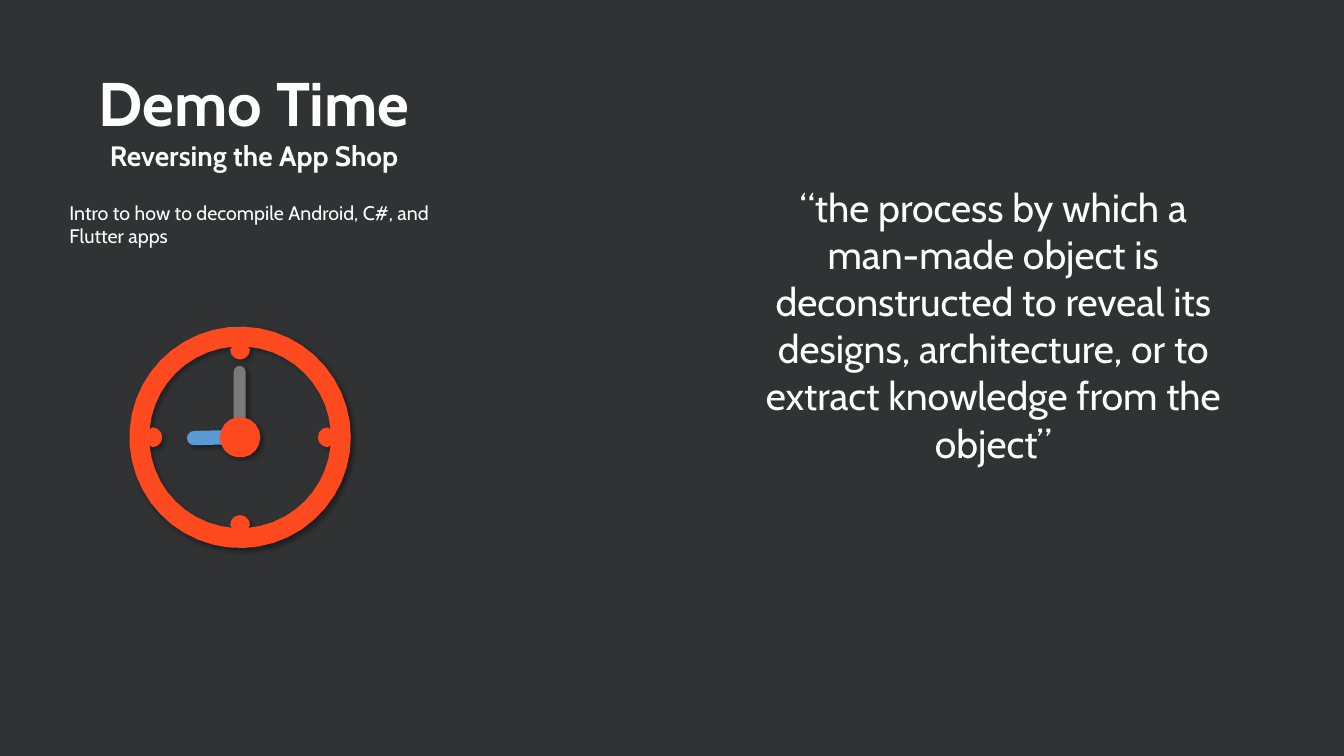
"""Build the demo slide with a clock and a definition of reverse engineering."""
import math

import lxml.etree
import pptx
import pptx.dml.color
import pptx.enum.shapes
import pptx.enum.text
import pptx.oxml.ns
import pptx.util

Cm = pptx.util.Cm
qn = pptx.oxml.ns.qn
Align = pptx.enum.text.PP_ALIGN

COLORS = {
    "backdrop": "565758",
    "overlay": "0E0F11",
    "text": "FFFFFF",
    "minute": "7A7A7A",
    "hour": "5C9AD3",
    "face": "FE4A1E",
}
FRAME_FORMAT = {
    "word_wrap": True,
    "auto_size": pptx.enum.text.MSO_AUTO_SIZE.NONE,
    "vertical_anchor": pptx.enum.text.MSO_ANCHOR.TOP,
}
UNITS_PER_CM = 1000
CENTER = (6.05, 11.02)


def rgb(name):
    return pptx.dml.color.RGBColor.from_string(COLORS[name])


def apply_format(target, values):
    for key, value in values.items():
        setattr(target, key, value)


def paint(shape, color):
    shape.fill.solid()
    shape.fill.fore_color.rgb = rgb(color)
    shape.line.fill.background()
    shape.shadow.inherit = False


def add_overlay(slide, width, height):
    overlay = slide.shapes.add_shape(
        pptx.enum.shapes.MSO_SHAPE.RECTANGLE, 0, 0, width, height)
    paint(overlay, "overlay")
    tint = overlay._element.spPr.find(f".//{qn('a:srgbClr')}")
    lxml.etree.SubElement(tint, qn("a:alpha"), val="50000")
    slide.shapes._spTree.insert(2, overlay._element)


def write_text(shape, box, lines, align, bold=False):
    apply_format(shape, dict(zip(("left", "top", "width", "height"), map(Cm, box))))
    frame = shape.text_frame
    apply_format(frame, FRAME_FORMAT)
    for index, (text, size) in enumerate(lines):
        paragraph = frame.add_paragraph() if index else frame.paragraphs[0]
        paragraph.alignment = align
        run = paragraph.add_run()
        run.text = text
        apply_format(run.font, {"name": "Cabin", "size": pptx.util.Pt(size), "bold": bold})
        run.font.color.rgb = rgb("text")


def add_text(slide, box, text, size, align):
    label = slide.shapes.add_textbox(*map(Cm, box))
    write_text(label, box, [(text, size)], align)


def polar(center, radius, degrees):
    angle = math.radians(degrees)
    return center[0] + radius * math.cos(angle), center[1] + radius * math.sin(angle)


def arc(center, radius, degrees):
    return [polar(center, radius, step) for step in degrees]


def notched_circle(radius, bump, distance):
    points = []
    for quarter in range(0, 360, 90):
        notch = polar(CENTER, distance, quarter)
        points += arc(notch, bump, range(quarter - 90, quarter - 271, -30))
        points += arc(CENTER, radius, range(quarter + 5, quarter + 86, 8))
    return points


def hand_outline(tip, base, half_width):
    heading = math.degrees(math.atan2(tip[1] - base[1], tip[0] - base[0]))
    round_tip = arc(tip, half_width, [heading + turn for turn in range(-90, 91, 30)])
    return round_tip + arc(base, half_width, [heading + 90, heading - 90])


def add_outline(slide, contours, color):
    scaled = [[(x * UNITS_PER_CM, y * UNITS_PER_CM) for x, y in contour]
              for contour in contours]
    builder = slide.shapes.build_freeform(*scaled[0][0], scale=Cm(1) / UNITS_PER_CM)
    for index, contour in enumerate(scaled):
        if index:
            builder.move_to(*contour[0])
        builder.add_line_segments(contour[1:], close=True)
    outline = builder.convert_to_shape()
    paint(outline, color)
    effects = outline._element.spPr.find(qn("a:effectLst"))
    shadow = lxml.etree.SubElement(
        effects, qn("a:outerShdw"), blurRad="50800", dist="38100",
        dir="2700000", algn="tl", rotWithShape="0")
    black = lxml.etree.SubElement(shadow, qn("a:srgbClr"), val="000000")
    lxml.etree.SubElement(black, qn("a:alpha"), val="40000")


def add_clock(slide):
    add_outline(slide, [hand_outline((6.04, 9.37), (6.04, 10.8), 0.15)], "minute")
    add_outline(slide, [hand_outline((4.89, 11.04), (5.68, 11.02), 0.18)], "hour")
    rim = arc(CENTER, 2.79, range(0, 360, 8))
    hub = arc(CENTER, 0.51, range(0, 360, 20))
    add_outline(slide, [rim, notched_circle(2.29, 0.25, 2.21), hub], "face")


def main():
    deck = pptx.Presentation()
    deck.slide_width, deck.slide_height = Cm(33.87), Cm(19.05)
    slide = deck.slides.add_slide(deck.slide_layouts[5])
    slide.background.fill.solid()
    slide.background.fill.fore_color.rgb = rgb("backdrop")
    add_overlay(slide, deck.slide_width, deck.slide_height)
    write_text(slide.shapes.title, (1.96, 1.5, 8.89, 3),
               [("Demo Time", 44), ("Reversing the App Shop", 20)],
               Align.CENTER, bold=True)
    add_text(slide, (1.5, 4.93, 9.65, 1.45),
             "Intro to how to decompile Android, C#, and Flutter apps", 14, Align.LEFT)
    add_clock(slide)
    add_text(slide, (18.82, 4.5, 12.42, 7.44),
             "“the process by which a man-made object is deconstructed to reveal its "
             "designs, architecture, or to extract knowledge from the object”",
             28, Align.CENTER)
    deck.save("out.pptx")


if __name__ == "__main__":
    main()
